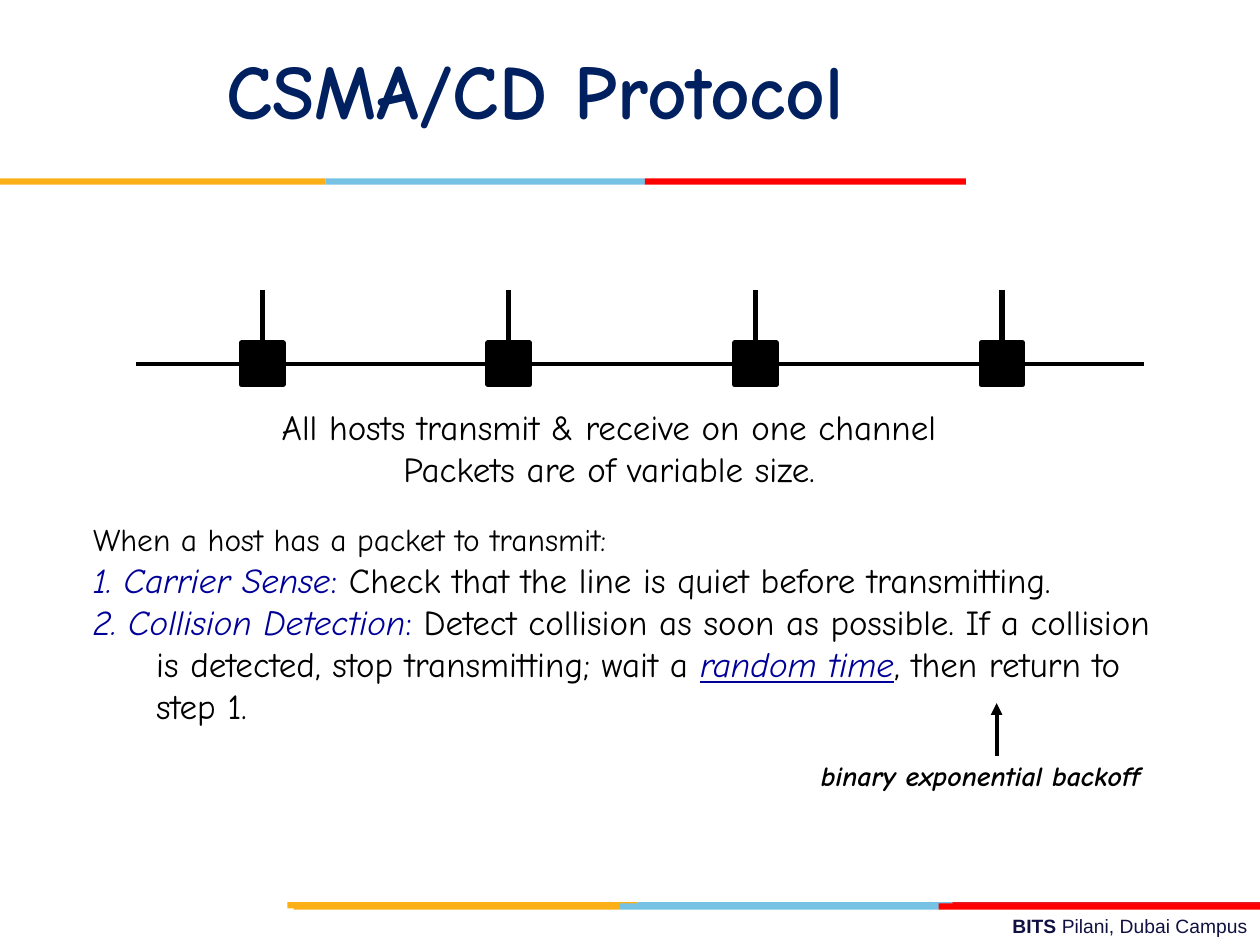
from pptx import Presentation
from pptx.dml.color import RGBColor
from pptx.enum.shapes import MSO_CONNECTOR, MSO_SHAPE
from pptx.enum.text import MSO_ANCHOR, MSO_AUTO_SIZE, PP_ALIGN
from pptx.oxml.ns import qn
from pptx.util import Pt
from lxml import etree

RECT, STRAIGHT = MSO_SHAPE.RECTANGLE, MSO_CONNECTOR.STRAIGHT
LEFT, CENTER, RIGHT = PP_ALIGN.LEFT, PP_ALIGN.CENTER, PP_ALIGN.RIGHT
TOP, MIDDLE = MSO_ANCHOR.TOP, MSO_ANCHOR.MIDDLE
NO_FIT = MSO_AUTO_SIZE.NONE

BLACK = RGBColor(0, 0, 0)
NAVY = RGBColor(0x00, 0x20, 0x60)
BLUE = RGBColor(0x00, 0x00, 0x99)
INK = RGBColor(0x10, 0x11, 0x41)
AMBER = RGBColor(0xFC, 0xB0, 0x17)
SKY = RGBColor(0x76, 0xC2, 0xE5)
RED = RGBColor(0xFF, 0x00, 0x00)
CRIMSON = RGBColor(0xE3, 0x1C, 0x24)

HAND = {"name": "Comic Neue", "size": Pt(20), "color": BLACK}
TERM = {"color": BLUE, "italic": True}
COLON = {"color": BLUE}


def add_rect(s, x, y, w, h, color):
    sp = s.shapes.add_shape(RECT, Pt(x), Pt(y), Pt(w), Pt(h))
    sp.shadow.inherit = False
    sp.fill.solid()
    sp.fill.fore_color.rgb = color
    sp.line.fill.background()
    return sp


def add_line(s, x1, y1, x2, y2, width, arrow=False):
    line = s.shapes.add_connector(STRAIGHT, Pt(x1), Pt(y1), Pt(x2), Pt(y2))
    line.line.color.rgb = BLACK
    line.line.width = Pt(width)
    if arrow:
        etree.SubElement(line.line._get_or_add_ln(), qn("a:tailEnd"), type="triangle")
    etree.SubElement(line._element.spPr, qn("a:effectLst"))


def add_bars(s, y, edges, colors):
    """A row of coloured bars that meet at the given edges."""
    for x, end, color in zip(edges, edges[1:], colors):
        add_rect(s, x, y, end - x, 3.6, color)


def add_host(s, x):
    box = add_rect(s, x, 196, 23.8, 23.8, BLACK)
    box.line.color.rgb = BLACK
    box.line.width = Pt(3)
    add_line(s, x + 11.9, 196, x + 11.9, 165.6, 3)


def place(sp, x, y, w, h):
    sp.left, sp.top, sp.width, sp.height = Pt(x), Pt(y), Pt(w), Pt(h)


def write(sp, paragraphs, base, align=LEFT, anchor=TOP, wrap=True, hanging=0):
    """Each paragraph is a list of (text, format) runs over the base format."""
    tf = sp.text_frame
    tf.auto_size, tf.word_wrap, tf.vertical_anchor = NO_FIT, wrap, anchor
    for i, runs in enumerate(paragraphs):
        p = tf.add_paragraph() if i else tf.paragraphs[0]
        p.alignment = align
        p.space_before = Pt(0)
        if hanging:
            pPr = p._p.get_or_add_pPr()
            pPr.set("marL", str(Pt(hanging)))
            pPr.set("indent", str(-Pt(hanging)))
            etree.SubElement(pPr, qn("a:buNone"))
        for text, extra in runs:
            r = p.add_run()
            r.text = text
            for key, value in {**base, **extra}.items():
                if key == "color":
                    r.font.color.rgb = value
                else:
                    setattr(r.font, key, value)


def add_text(s, x, y, w, h, paragraphs, base, **options):
    sp = s.shapes.add_textbox(Pt(x), Pt(y), Pt(w), Pt(h))
    write(sp, paragraphs, base, **options)


def main():
    prs = Presentation()
    prs.slide_width, prs.slide_height = Pt(720), Pt(540)
    s = prs.slides.add_slide(prs.slide_layouts[1])
    title, body = s.placeholders

    # Footer and brand bars
    add_text(s, 257.8, 519, 462.2, 21,
             [[("BITS ", {"bold": True}), ("Pilani, Dubai Campus", {})]],
             {"name": "Arial", "size": Pt(11), "color": INK}, align=RIGHT)
    add_bars(s, 515.5, [164.2, 364.3, 544.3, 720], [AMBER, SKY, CRIMSON])
    add_bars(s, 516.2, [167.8, 354, 536.4, 720], [AMBER, SKY, RED])
    add_bars(s, 102, [0, 186, 368.6, 552], [AMBER, SKY, RED])

    # Title
    place(title, 0, 5.8, 612, 90)
    write(title, [[("CSMA/CD Protocol", {})]],
          {**HAND, "size": Pt(44), "color": NAVY, "bold": True},
          align=CENTER, anchor=MIDDLE)

    # Shared channel with its hosts
    add_line(s, 78, 207.8, 654, 207.8, 2.25)
    for i in range(4):
        add_host(s, 138 + 140.9 * i)
    add_text(s, 139.7, 228.2, 416.9, 55.4,
             [[("All hosts transmit & receive on one channel", {})],
              [("Packets are of variable size.", {})]],
             HAND, align=CENTER, wrap=False)

    # Steps of the protocol
    place(body, 46, 293.8, 630, 131.8)
    write(body, [
        [("When a host has a packet to transmit:", {"size": Pt(18)})],
        [("1. Carrier Sense", TERM), (":", COLON),
         (" Check that the line is quiet before transmitting.", {})],
        [("2. Collision Detection", TERM), (":", COLON),
         (" Detect collision as soon as possible. If a collision is detected, "
          "stop transmitting; wait a ", {}),
         ("random time", {**TERM, "underline": True}),
         (", then return to step 1.", {})],
    ], HAND, hanging=36)

    # Backoff note
    add_text(s, 462, 430, 222.5, 26.6, [[("binary exponential backoff", {})]],
             {**HAND, "size": Pt(16), "bold": True, "italic": True}, wrap=False)
    add_line(s, 569.5, 432, 569.5, 401.8, 2.25, arrow=True)

    prs.save("out.pptx")


if __name__ == "__main__":
    main()
